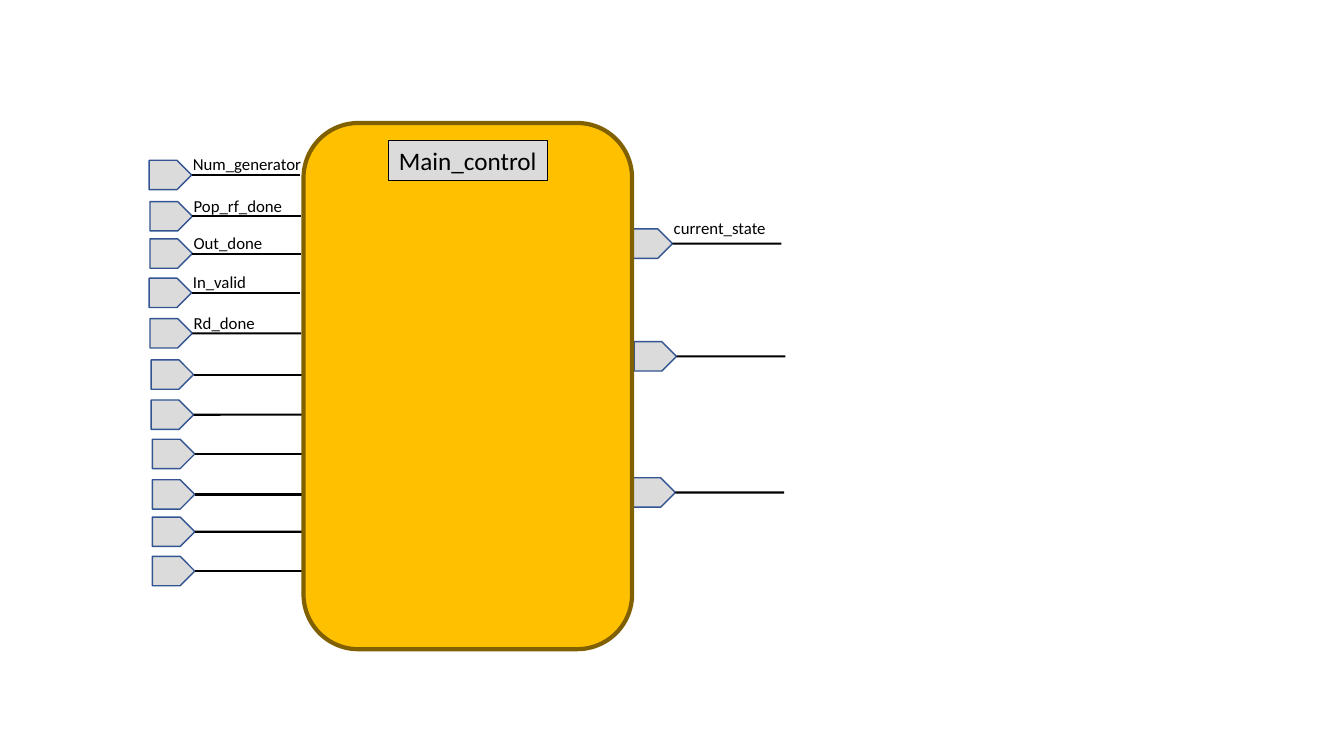
from pptx import Presentation
from pptx import util as u
from pptx.dml.color import RGBColor
from pptx.enum import shapes, text
from pptx.oxml import parse_xml
from pptx.oxml.ns import nsdecls

INPUTS = [
    (3.76, 4.04, "Num_generator", 3.28),
    (3.78, 5.08, "Pop_rf_done", 2.77),
    (3.78, 6.02, "Out_done", 2.26),
    (3.76, 7.01, "In_valid", 1.85),
    (3.78, 8.03, "Rd_done", 2.06),
    (3.81, 9.07, "", 0),
    (3.81, 10.08, "", 0),
    (3.84, 11.07, "", 0),
    (3.84, 12.09, "", 0),
    (3.84, 13.03, "", 0),
    (3.84, 14.02, "", 0),
]
OUTPUTS = [
    (15.88, 5.77, "current_state", 2.84),
    (15.98, 8.61, "", 0),
    (15.95, 12.04, "", 0),
]
BLOCK = (7.65, 3.1, 8.28, 13.26)
TITLE = ("Main_control", (9.8, 3.53, 4.01, 1.02))

PORT_WIDTH, PORT_HEIGHT = 1.07, 0.74
WIRE_LENGTH = 2.74
LABEL_SHIFT, LABEL_HEIGHT = 0.85, 0.76
INPUT_RISE, OUTPUT_RISE = 0.28, 0.41

THEME = {
    "font": "Calibri",
    "ink": "000000",
    "label": 12,
    "title": 18,
    "port": ("DBDBDB", "325491", 1),
    "block": ("FFC000", "806000", 3),
    "title_box": ("DBDBDB", "000000", 0.75),
    "wire": ("000000", 1.5),
}


def colour(value):
    return RGBColor.from_string(value)


def set_all(target, values):
    for name, value in values.items():
        setattr(target, name, value)


def add_box(page, kind, place, style):
    fill, line, weight = THEME[style]
    box = page.shapes.add_shape(kind, *map(u.Cm, place))
    box.shadow.inherit = False
    box.fill.solid()
    box.fill.fore_color.rgb = colour(fill)
    box.line.color.rgb = colour(line)
    box.line.width = u.Pt(weight)
    return box


def write(box, words, size, anchor):
    set_all(box.text_frame, {
        "word_wrap": False,
        "auto_size": text.MSO_AUTO_SIZE.SHAPE_TO_FIT_TEXT,
        "vertical_anchor": anchor,
    })
    para = box.text_frame.paragraphs[0]
    para.alignment = text.PP_ALIGN.LEFT
    span = para.add_run()
    span.text = words
    set_all(span.font, {"name": THEME["font"], "size": u.Pt(THEME[size])})
    span.font.color.rgb = colour(THEME["ink"])


def add_port(page, left, top, label, label_width, rise):
    place = (left, top, PORT_WIDTH, PORT_HEIGHT)
    port = add_box(page, shapes.MSO_SHAPE.PENTAGON, place, "port")
    tip, middle = left + PORT_WIDTH, top + PORT_HEIGHT / 2
    ends = (tip, middle, tip + WIRE_LENGTH, middle)
    wire = page.shapes.add_connector(shapes.MSO_CONNECTOR.STRAIGHT, *map(u.Cm, ends))
    wire.begin_connect(port, 3)
    ink, weight = THEME["wire"]
    wire.line.color.rgb = colour(ink)
    wire.line.width = u.Pt(weight)
    wire._element.spPr.append(parse_xml(f"<a:effectLst {nsdecls('a')}/>"))
    if label:
        place = (left + LABEL_SHIFT, top - rise, label_width, LABEL_HEIGHT)
        box = page.shapes.add_textbox(*map(u.Cm, place))
        write(box, label, "label", text.MSO_ANCHOR.TOP)


def main():
    deck = Presentation()
    set_all(deck, {"slide_width": u.Cm(33.87), "slide_height": u.Cm(19.05)})
    page = deck.slides.add_slide(deck.slide_layouts[6])
    for ports, rise in ((INPUTS, INPUT_RISE), (OUTPUTS, OUTPUT_RISE)):
        for port in ports:
            add_port(page, *port, rise)
    add_box(page, shapes.MSO_SHAPE.ROUNDED_RECTANGLE, BLOCK, "block")
    words, place = TITLE
    title = add_box(page, shapes.MSO_SHAPE.RECTANGLE, place, "title_box")
    write(title, words, "title", text.MSO_ANCHOR.TOP)
    deck.save("out.pptx")


if __name__ == "__main__":
    main()
